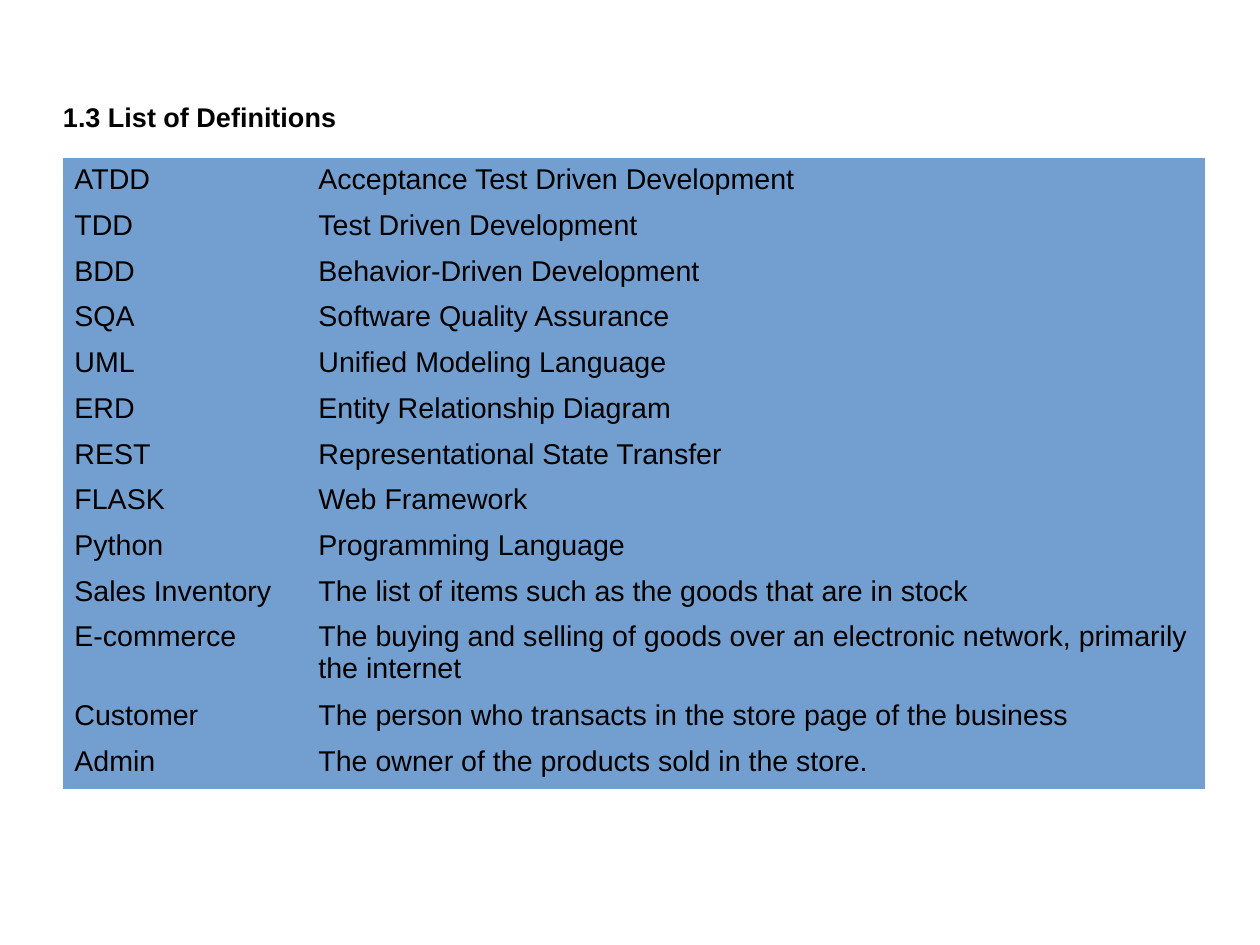
from pptx import Presentation
from pptx import util as u
from pptx.dml.color import RGBColor
from pptx.enum import text
from pptx.oxml.ns import qn

# Content
TITLE = "1.3 List of Definitions"
DEFINITIONS = [
    ("ATDD", "Acceptance Test Driven Development"),
    ("TDD", "Test Driven Development"),
    ("BDD", "Behavior-Driven Development"),
    ("SQA", "Software Quality Assurance"),
    ("UML", "Unified Modeling Language"),
    ("ERD", "Entity Relationship Diagram"),
    ("REST", "Representational State Transfer"),
    ("FLASK", "Web Framework"),
    ("Python", "Programming Language"),
    ("Sales Inventory", "The list of items such as the goods that are in stock"),
    ("E-commerce", "The buying and selling of goods over an electronic network, "
                   "primarily the internet"),
    ("Customer", "The person who transacts in the store page of the business"),
    ("Admin", "The owner of the products sold in the store."),
]

# Layout in px, 45 to the centimetre (28 x 21 cm slide)
PX = u.Cm(1) // 45
SLIDE_W, SLIDE_H = 1260, 945
LEFT = 63
TITLE_TOP, TITLE_W, TITLE_H = 101, 1134, 31
TABLE_TOP = 158
COL_WIDTHS = (244, 898)
ROW_HEIGHTS = (46, 46, 45, 46, 46, 46, 45, 46, 46, 45, 79, 46, 49)

COLORS = {"text": "000000", "cell": "729FCF"}
TITLE_FONT = {"name": "Arial", "size": u.Pt(17), "bold": True}
CELL_FONT = {"name": "Arial", "size": u.Pt(18), "bold": False}
TITLE_FRAME = {"margin_left": 0, "margin_top": 0, "margin_right": 0,
               "margin_bottom": 0, "word_wrap": True,
               "vertical_anchor": text.MSO_ANCHOR.MIDDLE,
               "auto_size": text.MSO_AUTO_SIZE.NONE}
NO_GRID_STYLE = "{2D5ABB26-0587-4C30-8999-92F81FD0307C}"


def px(*values):
    return [v * PX for v in values]


def set_all(obj, values):
    for name, value in values.items():
        setattr(obj, name, value)


def write(tf, words, font):
    p = tf.paragraphs[0]
    p.alignment = text.PP_ALIGN.LEFT
    r = p.add_run()
    r.text = words
    set_all(r.font, font)
    r.font.color.rgb = RGBColor.from_string(COLORS["text"])


def main():
    prs = Presentation()
    prs.slide_width, prs.slide_height = px(SLIDE_W, SLIDE_H)
    s = prs.slides.add_slide(prs.slide_layouts[5])

    # Title
    title = s.shapes.title
    title.left, title.top, title.width, title.height = px(
        LEFT, TITLE_TOP, TITLE_W, TITLE_H)
    set_all(title.text_frame, TITLE_FRAME)
    write(title.text_frame, TITLE, TITLE_FONT)

    # Table of definitions, without banding or grid
    table = s.shapes.add_table(
        len(DEFINITIONS), len(COL_WIDTHS),
        *px(LEFT, TABLE_TOP, sum(COL_WIDTHS), sum(ROW_HEIGHTS))).table
    set_all(table, {"first_row": False, "horz_banding": False})
    table._tbl.tblPr.find(qn("a:tableStyleId")).text = NO_GRID_STYLE

    for col, width in zip(table.columns, px(*COL_WIDTHS)):
        col.width = width
    for row, height, entry in zip(table.rows, px(*ROW_HEIGHTS), DEFINITIONS):
        row.height = height
        for cell, words in zip(row.cells, entry):
            cell.fill.solid()
            cell.fill.fore_color.rgb = RGBColor.from_string(COLORS["cell"])
            write(cell.text_frame, words, CELL_FONT)

    prs.save("out.pptx")


if __name__ == "__main__":
    main()
